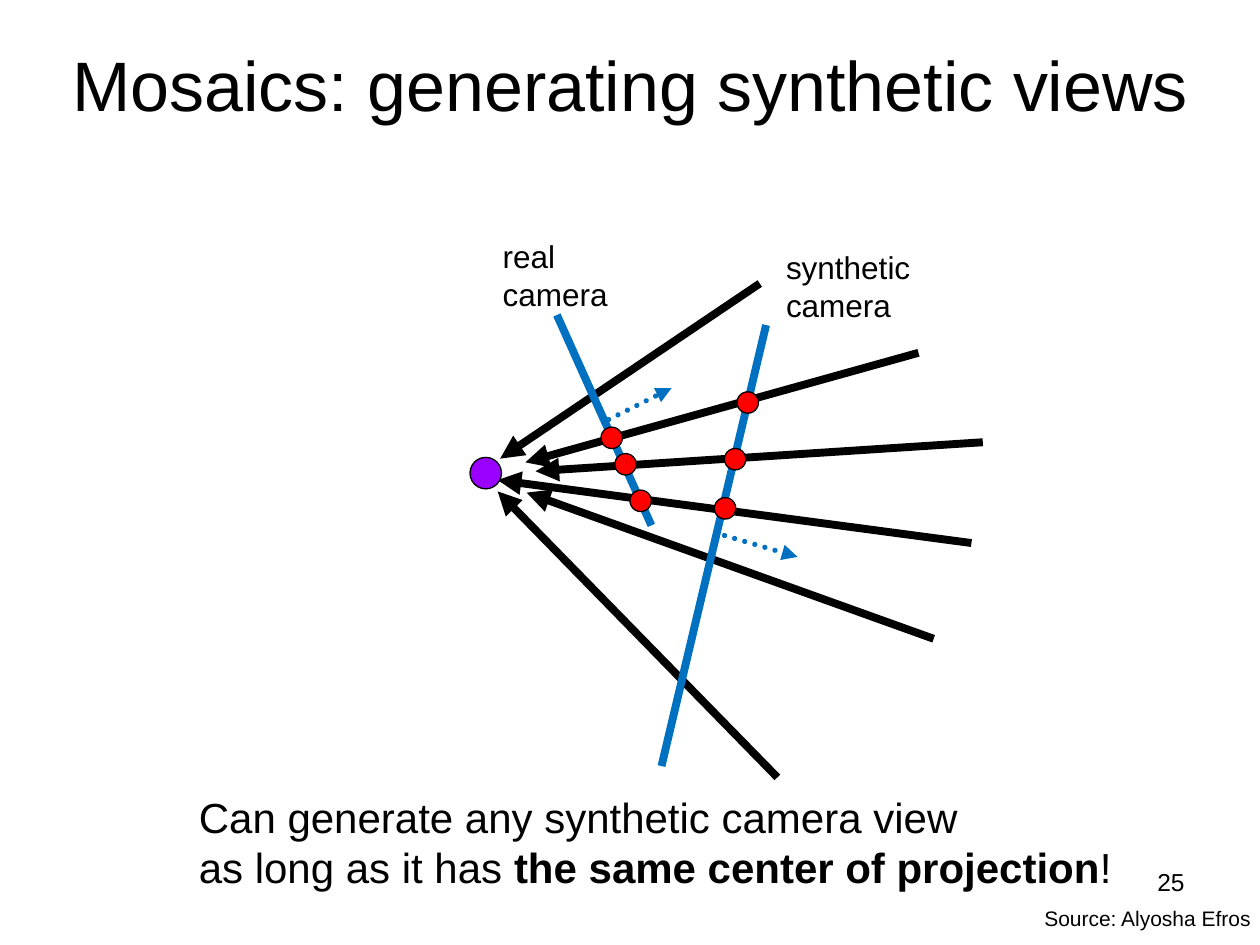
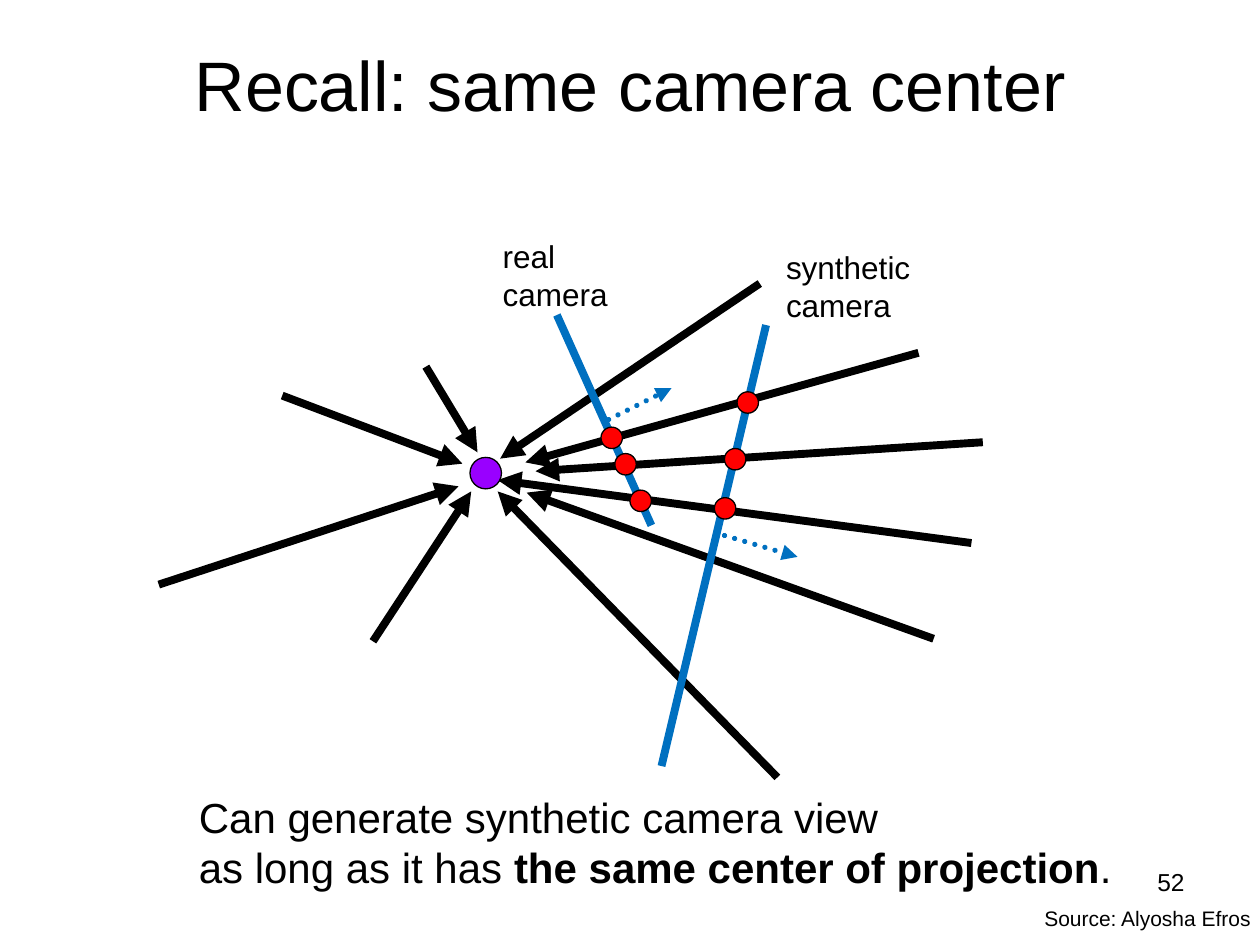
from dataclasses import dataclass

from lxml.etree import SubElement
from pptx import Presentation
from pptx.dml.color import RGBColor
from pptx.enum.dml import MSO_LINE
from pptx.enum.shapes import MSO_CONNECTOR, MSO_SHAPE
from pptx.enum.text import MSO_ANCHOR, MSO_AUTO_SIZE, PP_ALIGN
from pptx.oxml.ns import qn
from pptx.util import Emu, Pt


@dataclass(frozen=True)
class Theme:
    font: str = "Arial"
    ink: str = "000000"
    camera: str = "0070C0"
    center: str = "9900FF"
    crossing: str = "FF0000"
    title_size: int = 40
    caption_size: int = 24
    label_size: int = 18
    number_size: int = 14
    source_size: int = 12
    ray_width: float = 4.5
    pointer_width: float = 3
    outline_width: float = 0.75


PX = 9144
BLANK_LAYOUT = 6

RAYS_RIGHT = [
    (417, 367, 729, 280),
    (395, 381, 771, 431),
    (418, 391, 741, 507),
    (397, 364, 603, 225),
    (425, 374, 780, 351),
    (395, 390, 617, 617),
]
RAYS_LEFT = [
    (379, 359, 338, 291),
    (367, 368, 224, 314),
    (374, 390, 296, 509),
    (364, 386, 126, 464),
]
CAMERAS = [
    {
        "plane": (442, 250, 517, 417),
        "pointer": (483, 333, 533, 308),
        "name": "real",
        "label": (389, 183, 115, 70),
    },
    {
        "plane": (608, 258, 525, 608),
        "pointer": (575, 425, 633, 442),
        "name": "synthetic",
        "label": (614, 192, 130, 70),
    },
]
CROSSINGS = [(477, 339), (488, 360), (500, 389), (585, 311), (575, 356), (567, 395)]
PAGES = [
    ("Mosaics: generating synthetic views", RAYS_RIGHT,
     "Can generate any synthetic camera view", "!", 25),
    ("Recall: same camera center", RAYS_RIGHT + RAYS_LEFT,
     "Can generate synthetic camera view", ".", 52),
]


class Painter:
    def __init__(self, theme):
        self.theme = theme
        self.deck = Presentation()
        self.deck.slide_width = Emu(1000 * PX)
        self.deck.slide_height = Emu(750 * PX)
        self.page = None
        self.canvas = None

    def new_page(self):
        self.page = self.deck.slides.add_slide(self.deck.slide_layouts[BLANK_LAYOUT])
        self.ungroup()

    def group(self):
        self.canvas = self.page.shapes.add_group_shape().shapes

    def ungroup(self):
        self.canvas = self.page.shapes

    def text(self, place, paragraphs, size, align=PP_ALIGN.LEFT, **frame_format):
        box = self.canvas.add_textbox(*(Emu(value * PX) for value in place))
        frame = box.text_frame
        for name, value in {"word_wrap": True, **frame_format}.items():
            setattr(frame, name, value)
        for index, spans in enumerate(paragraphs):
            para = frame.add_paragraph() if index else frame.paragraphs[0]
            para.alignment = align
            for words, bold in spans:
                span = para.add_run()
                span.text = words
                font_format = {"name": self.theme.font, "size": Pt(size), "bold": bold}
                for name, value in font_format.items():
                    setattr(span.font, name, value)
                span.font.color.rgb = RGBColor.from_string(self.theme.ink)

    def line(self, ends, color, width, arrow, dash=None):
        connector = self.canvas.add_connector(
            MSO_CONNECTOR.STRAIGHT, *(Emu(value * PX) for value in ends))
        connector.line.color.rgb = RGBColor.from_string(color)
        for name, value in {"width": Pt(width), "dash_style": dash}.items():
            setattr(connector.line, name, value)
        outline = connector.line._get_or_add_ln()
        if dash:
            outline.set("cap", "rnd")
        if arrow:
            SubElement(outline, qn(f"a:{arrow}"), type="triangle")
        SubElement(connector._element.spPr, qn("a:effectLst"))

    def dot(self, left, top, diameter, color):
        dot = self.canvas.add_shape(
            MSO_SHAPE.OVAL, *(Emu(value * PX) for value in (left, top, diameter, diameter)))
        dot.shadow.inherit = False
        dot.fill.solid()
        dot.fill.fore_color.rgb = RGBColor.from_string(color)
        dot.line.color.rgb = RGBColor.from_string(self.theme.ink)
        dot.line.width = Pt(self.theme.outline_width)

    def camera(self, plane, pointer, name, label):
        theme = self.theme
        self.group()
        self.line(plane, theme.camera, theme.ray_width, None)
        self.line(pointer, theme.camera, theme.pointer_width, "tailEnd", MSO_LINE.ROUND_DOT)
        self.text(label, [[(name, False)], [("camera", False)]], theme.label_size,
                  word_wrap=False)
        self.ungroup()

    def diagram(self, rays):
        theme = self.theme
        for ray in rays:
            self.line(ray, theme.ink, theme.ray_width, "headEnd")
        self.dot(373, 363, 25, theme.center)
        for camera in CAMERAS:
            self.camera(**camera)
        self.group()
        for left, top in CROSSINGS:
            self.dot(left, top, 17, theme.crossing)
        self.ungroup()

    def title(self, words):
        self.text((0, 4, 1000, 125), [[(words, False)]], self.theme.title_size,
                  PP_ALIGN.CENTER, vertical_anchor=MSO_ANCHOR.MIDDLE)

    def caption(self, opening, ending):
        closing = [("as long as it has ", False),
                   ("the same center of projection", True),
                   (ending, False)]
        self.text((148, 623, 744, 90), [[(opening, False)], closing],
                  self.theme.caption_size, word_wrap=False,
                  auto_size=MSO_AUTO_SIZE.SHAPE_TO_FIT_TEXT)

    def footer(self, number):
        self.text((819, 714, 280, 30), [[("Source: Alyosha Efros", False)]],
                  self.theme.source_size, auto_size=MSO_AUTO_SIZE.SHAPE_TO_FIT_TEXT)
        self.text((717, 683, 233, 52), [[(str(number), False)]],
                  self.theme.number_size, PP_ALIGN.RIGHT)


def main():
    painter = Painter(Theme())
    for title, rays, opening, ending, number in PAGES:
        painter.new_page()
        painter.title(title)
        painter.diagram(rays)
        painter.caption(opening, ending)
        painter.footer(number)
    painter.deck.save("out.pptx")


if __name__ == "__main__":
    main()
